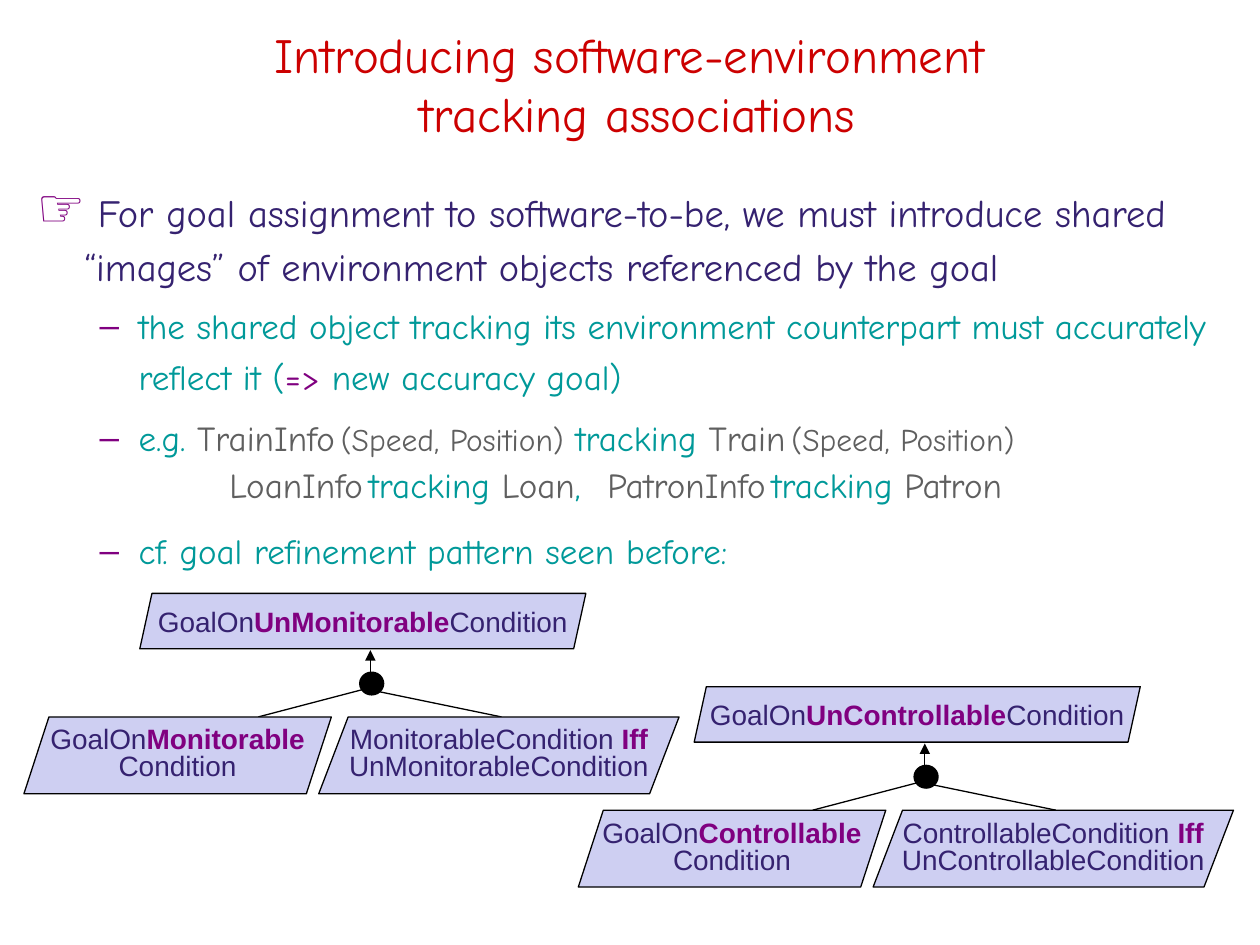
from lxml.etree import SubElement
from pptx import Presentation
from pptx.dml.color import RGBColor
from pptx.enum.shapes import MSO_CONNECTOR, MSO_SHAPE
from pptx.enum.text import MSO_ANCHOR, MSO_AUTO_SIZE, PP_ALIGN
from pptx.oxml.ns import qn
from pptx.util import Inches, Pt

RED = RGBColor(0xCC, 0x00, 0x00)
PURPLE = RGBColor(0x80, 0x00, 0x80)
INDIGO = RGBColor(0x35, 0x22, 0x70)
TEAL = RGBColor(0x00, 0x99, 0x99)
GREY = RGBColor(0x5F, 0x5F, 0x5F)
LAVENDER = RGBColor(0xCE, 0xCF, 0xF2)
BLACK = RGBColor(0x00, 0x00, 0x00)

HAND_FONT = "Comic Neue"
LABEL_FONT = "Arial"
COLUMNS, ROWS = 100, 75


class GoalSlide:
    """Places elements on a grid of COLUMNS by ROWS cells."""

    def __init__(self, presentation):
        self.slide = presentation.slides.add_slide(presentation.slide_layouts[1])
        self.cell_width = presentation.slide_width / COLUMNS
        self.cell_height = presentation.slide_height / ROWS

    def point(self, column, row):
        return round(column * self.cell_width), round(row * self.cell_height)

    def place(self, shape, column, row, columns, rows):
        shape.left, shape.top = self.point(column, row)
        shape.width, shape.height = self.point(columns, rows)
        shape.text_frame.auto_size = MSO_AUTO_SIZE.NONE
        shape.text_frame.vertical_anchor = MSO_ANCHOR.MIDDLE

    def add_runs(self, paragraph, runs, font_name):
        """Each run is (text, size, colour) with an optional font for bold text."""
        for text, size, color, *bold_font in runs:
            run = paragraph.add_run()
            run.text = text
            run.font.size = Pt(size)
            run.font.color.rgb = color
            run.font.name = bold_font[0] if bold_font else font_name
            run.font.bold = bool(bold_font)

    def title(self, text, *box):
        title = self.slide.shapes.title
        self.place(title, *box)
        title.text_frame.text = text
        paragraph = title.text_frame.paragraphs[0]
        paragraph.alignment = PP_ALIGN.CENTER
        paragraph.font.size = Pt(28)
        paragraph.font.name = HAND_FONT
        paragraph.font.color.rgb = RED

    def body(self, items, *box):
        """Each item is (level, bullet, margin, indent, line spacing, space before, tab, runs)."""
        body = self.slide.placeholders[1]
        self.place(body, *box)
        frame = body.text_frame
        for index, item in enumerate(items):
            level, bullet, margin, indent, line_spacing, before, tab, runs = item
            paragraph = frame.add_paragraph() if index else frame.paragraphs[0]
            paragraph.level = level
            properties = paragraph._p.get_or_add_pPr()
            properties.set("marL", str(Inches(margin)))
            properties.set("indent", str(Inches(indent)))
            if bullet:
                color = SubElement(properties, qn("a:buClr"))
                SubElement(color, qn("a:srgbClr"), val=str(PURPLE))
                SubElement(properties, qn("a:buChar"), char=bullet)
            else:
                SubElement(properties, qn("a:buNone"))
            if tab:
                tabs = SubElement(properties, qn("a:tabLst"))
                SubElement(tabs, qn("a:tab"), pos=str(Inches(tab)), algn="l")
            paragraph.line_spacing = line_spacing
            paragraph.space_before = Pt(before)
            self.add_runs(paragraph, runs, HAND_FONT)

    def shape(self, group, kind, box, fill, line_width):
        shape = group.shapes.add_shape(kind, 0, 0, 0, 0)
        self.place(shape, *box)
        shape.shadow.inherit = False
        shape.fill.solid()
        shape.fill.fore_color.rgb = fill
        shape.line.color.rgb = BLACK
        shape.line.width = Pt(line_width)
        return shape

    def goal(self, group, lines, slant, *box):
        """Each line lists texts; every second one is emphasised."""
        shape = self.shape(group, MSO_SHAPE.PARALLELOGRAM, box, LAVENDER, 0.75)
        shape.adjustments[0] = slant
        frame = shape.text_frame
        frame.word_wrap = False
        frame.margin_left = frame.margin_right = 0
        frame.margin_top = frame.margin_bottom = 0
        for index, texts in enumerate(lines):
            paragraph = frame.add_paragraph() if index else frame.paragraphs[0]
            paragraph.alignment = PP_ALIGN.CENTER
            paragraph.line_spacing = 0.8 if len(lines) > 1 else 1.0
            runs = [(text, 16, PURPLE, LABEL_FONT) if position % 2 else (text, 16, INDIGO)
                    for position, text in enumerate(texts)]
            self.add_runs(paragraph, runs, LABEL_FONT)

    def line(self, group, start, end, arrow=False):
        connector = group.shapes.add_connector(
            MSO_CONNECTOR.STRAIGHT, *self.point(*start), *self.point(*end))
        connector.line.color.rgb = BLACK
        connector.line.width = Pt(0.75)
        if arrow:
            SubElement(connector.line._get_or_add_ln(), qn("a:tailEnd"), type="triangle")
        SubElement(connector._element.spPr, qn("a:effectLst"))

    def refinement(self, ability, column, row):
        """Draws a goal refined into two subgoals, from the left subgoal's corner."""
        group = self.slide.shapes.add_group_shape()
        condition = f"{ability}Condition"
        self.goal(group, [["GoalOn", f"Un{ability}", "Condition"]],
                  0.22, column + 9.2, row, 35.4, 4.4)
        self.line(group, (column + 27.5, row + 6.5), (column + 27.5, row + 4.5), arrow=True)
        self.line(group, (column + 27, row + 7.6), (column + 18.6, row + 9.8))
        self.shape(group, MSO_SHAPE.OVAL, (column + 26.7, row + 6.3, 1.8, 1.7), BLACK, 1.5)
        self.line(group, (column + 28.2, row + 7.8), (column + 37.9, row + 9.8))
        self.goal(group, [["GoalOn", ability], ["Condition"]],
                  0.326, column, row + 9.8, 24.4, 6.1)
        self.goal(group, [[f"{condition} ", "Iff"], [f"Un{condition}"]],
                  0.383, column + 23.4, row + 9.8, 28.6, 6.1)


def main():
    presentation = Presentation()
    presentation.slide_width, presentation.slide_height = Inches(10), Inches(7.5)
    slide = GoalSlide(presentation)
    slide.title("Introducing software-environment \vtracking associations", 3.3, 2.5, 94.6, 8.3)

    attributes = [(" ", 10, GREY), ("(Speed, Position)", 18, GREY)]
    small_gap = (" ", 10, GREY)
    tracking = ("tracking ", 20, TEAL)
    slide.body([
        (0, None, 0.38, -0.38, 1.1, 0, None, [
            ("☞", 31, PURPLE, LABEL_FONT),
            (" For goal assignment to software-to-be, we must introduce shared "
             "“images” of environment objects referenced by the goal", 22, INDIGO)]),
        (1, "–", 0.81, -0.31, 1.2, 4, None, [
            ("the shared object tracking its environment counterpart must accurately "
             "reflect it (", 20, TEAL),
            ("=>", 20, PURPLE), (" new accuracy goal)", 20, TEAL)]),
        (1, "–", 0.81, -0.31, 1.2, 6, None, [
            ("e.g. ", 20, TEAL), ("TrainInfo", 20, GREY), *attributes,
            (" tracking ", 20, TEAL), ("Train", 20, GREY), *attributes]),
        (1, None, 1.53, 0, 0.9, 6, 4.59, [
            ("LoanInfo", 20, GREY), small_gap, tracking, ("Loan", 20, GREY),
            (",\t", 20, TEAL), ("PatronInfo", 20, GREY), small_gap, tracking,
            ("Patron", 20, GREY)]),
        (1, "–", 0.81, -0.31, 1.3, 6, None, [
            ("cf. goal refinement pattern seen before:", 20, TEAL)]),
    ], 1.9, 14.5, 97.4, 29.6)

    slide.refinement("Monitorable", 1.9, 47.1)
    slide.refinement("Controllable", 45.9, 54.5)
    presentation.save("out.pptx")


if __name__ == "__main__":
    main()
